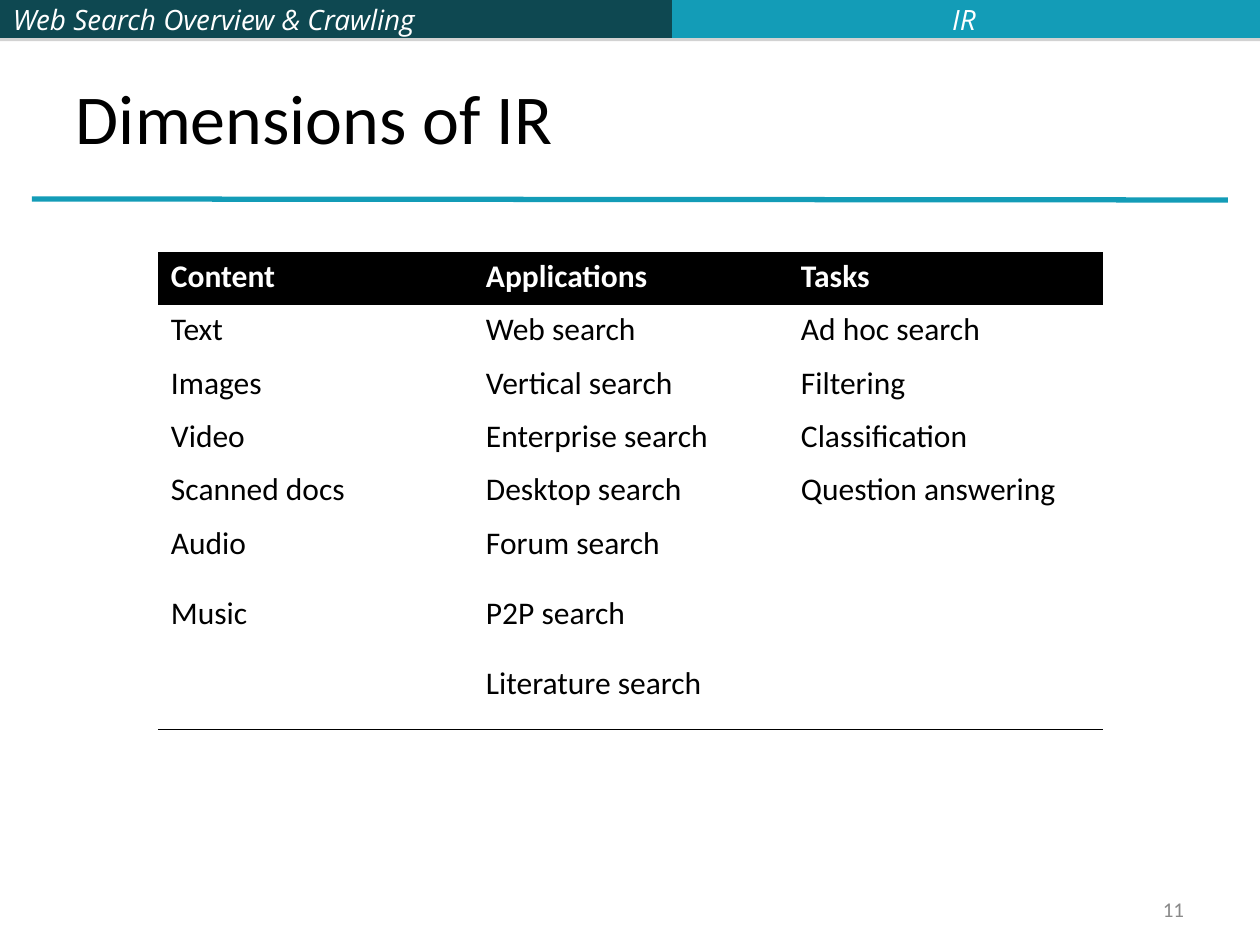
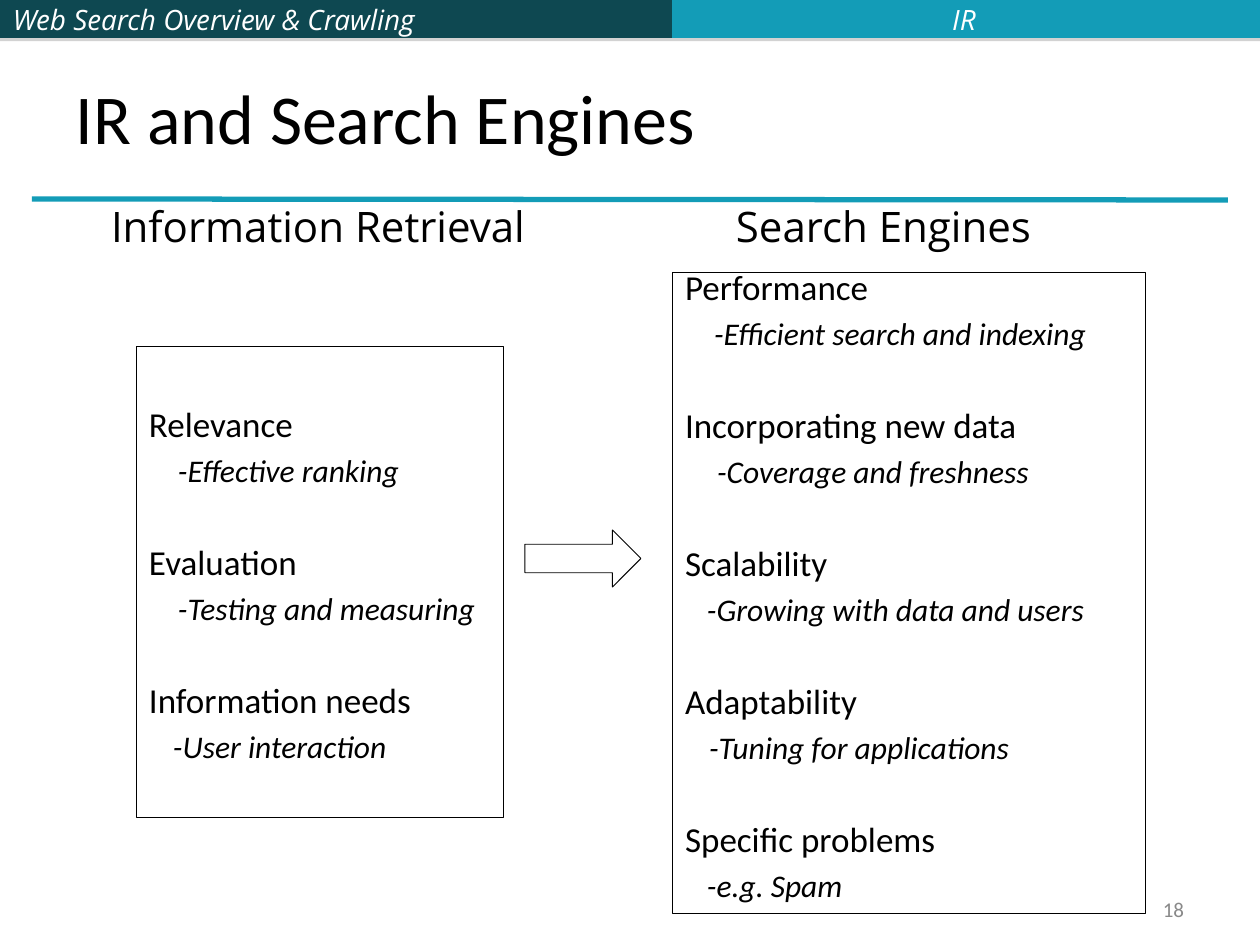
import pptx
import pptx.dml.color
import pptx.enum.shapes
import pptx.enum.text
import pptx.oxml
import pptx.oxml.ns
import pptx.util

RGB = pptx.dml.color.RGBColor
Pt = pptx.util.Pt
qn = pptx.oxml.ns.qn
SHAPE = pptx.enum.shapes.MSO_SHAPE
ALIGN = pptx.enum.text.PP_ALIGN
ANCHOR = pptx.enum.text.MSO_ANCHOR

BLACK = RGB(0x00, 0x00, 0x00)
WHITE = RGB(0xFF, 0xFF, 0xFF)
DARK_TEAL = RGB(0x0E, 0x48, 0x51)
TEAL = RGB(0x13, 0x9C, 0xB7)
GREY = RGB(0x89, 0x89, 0x89)
BODY_FONT, BAND_FONT = "Calibri", "Open Sans"

SLIDE_W, SLIDE_H = 1260, 945
BAND_H, BAND_SPLIT = 38, 672
INSET_X, INSET_Y = 13, 6
LINE_SPACING = 0.65
NO_STYLE_TABLE = "{2D5ABB26-0587-4C30-8999-92F81FD0307C}"
A_NS = 'xmlns:a="http://schemas.openxmlformats.org/drawingml/2006/main"'

BAND_SHADOW = (f'<a:outerShdw {A_NS} blurRad="0" dist="22860" dir="5400000">'
               '<a:srgbClr val="808080"><a:alpha val="35000"/></a:srgbClr></a:outerShdw>')
BOTTOM_RULE = (f'<a:lnB {A_NS} w="5715"><a:solidFill><a:srgbClr val="{BLACK}"/>'
               '</a:solidFill></a:lnB>')

DIMENSIONS = [
    ("Content", "Applications", "Tasks"),
    ("Text", "Web search", "Ad hoc search"),
    ("Images", "Vertical search", "Filtering"),
    ("Video", "Enterprise search", "Classification"),
    ("Scanned docs", "Desktop search", "Question answering"),
    ("Audio", "Forum search", ""),
    ("Music", "P2P search", ""),
    ("", "Literature search", ""),
]
ROW_HEIGHTS = [53, 54, 53, 53, 54, 70, 70, 70]

# Issue, its explanation, indent of the explanation
RETRIEVAL_ISSUES = [
    ("Relevance", "-Effective ranking", 29),
    ("Evaluation", "-Testing and measuring", 29),
    ("Information needs", "-User interaction", 24),
]
ENGINE_ISSUES = [
    ("Performance", "-Efficient search and indexing", 29),
    ("Incorporating new data", "-Coverage and freshness", 32),
    ("Scalability", "-Growing with data and users", 22),
    ("Adaptability", "-Tuning for applications", 24),
    ("Specific problems", "-e.g. Spam", 22),
]


def px(length):
    return pptx.util.Emu(round(length * 914400 / 126))


def scaled(box):
    return [px(length) for length in box]


def add_run(paragraph, text, size, color=BLACK, font=BODY_FONT, bold=False, italic=False):
    run = paragraph.add_run()
    run.text = text
    run.font.size = Pt(size)
    run.font.name = font
    run.font.color.rgb = color
    run.font.bold = bold
    run.font.italic = italic


def set_frame(frame, anchor, wrap=True, top=INSET_Y):
    frame.margin_left = frame.margin_right = px(INSET_X)
    frame.margin_top, frame.margin_bottom = px(top), px(INSET_Y)
    frame.vertical_anchor = anchor
    frame.word_wrap = wrap
    return frame


def add_label(slide, box, text, size, align=ALIGN.LEFT, anchor=ANCHOR.MIDDLE, wrap=True,
              spacing=None, **style):
    frame = set_frame(slide.shapes.add_textbox(*scaled(box)).text_frame, anchor, wrap)
    paragraph = frame.paragraphs[0]
    paragraph.alignment = align
    paragraph.line_spacing = spacing
    add_run(paragraph, text, size, **style)


def add_outline(slide, kind, box):
    outline = slide.shapes.add_shape(kind, *scaled(box))
    outline.shadow.inherit = False
    outline.fill.background()
    outline.line.color.rgb = BLACK
    outline.line.width = Pt(0.5)
    return outline


def add_band(slide, box, color):
    band = slide.shapes.add_shape(SHAPE.RECTANGLE, *scaled(box))
    band.fill.solid()
    band.fill.fore_color.rgb = color
    band.line.fill.background()
    band.shadow.inherit = False
    effects = band._element.spPr.find(qn("a:effectLst"))
    effects.append(pptx.oxml.parse_xml(BAND_SHADOW))
    return band


def add_title_rule(slide, left, top, width):
    rule = slide.shapes.add_connector(pptx.enum.shapes.MSO_CONNECTOR.STRAIGHT,
                                      *scaled((left, top, left + width, top + 1)))
    rule.line.color.rgb = TEAL
    rule.line.width = Pt(3)
    rule._element.spPr.append(pptx.oxml.parse_xml(f"<a:effectLst {A_NS}/>"))


def add_base_slide(deck, title_text, number):
    slide = deck.slides.add_slide(deck.slide_layouts[5])
    add_title_rule(slide, 32, 199, 1196)

    # Course and topic bands
    course = add_band(slide, (0, 0, BAND_SPLIT, BAND_H), DARK_TEAL)
    course_line = set_frame(course.text_frame, ANCHOR.MIDDLE).paragraphs[0]
    course_line.alignment = ALIGN.LEFT
    band_style = dict(color=WHITE, font=BAND_FONT, italic=True)
    add_run(course_line, "Web Search Overview & Crawling", 16, **band_style)
    add_band(slide, (BAND_SPLIT, 0, SLIDE_W - BAND_SPLIT, BAND_H), TEAL)
    add_label(slide, (668, 0, 592, BAND_H), "IR", 16, ALIGN.CENTER, **band_style)

    # Slide number and title
    add_label(slide, (903, 892, 294, 34), number, 12, ALIGN.RIGHT, color=GREY)
    title = slide.shapes.title
    title.left, title.top, title.width, title.height = scaled((63, 38, 1134, 157))
    title_line = set_frame(title.text_frame, ANCHOR.MIDDLE).paragraphs[0]
    title_line.alignment = ALIGN.LEFT
    add_run(title_line, title_text, 40)
    return slide


def add_dimensions_table(slide, left, top, width):
    columns = len(DIMENSIONS[0])
    table = slide.shapes.add_table(len(DIMENSIONS), columns,
                                   *scaled((left, top, width, sum(ROW_HEIGHTS)))).table
    table._tbl.tblPr.find(qn("a:tableStyleId")).text = NO_STYLE_TABLE
    table.horz_banding = False
    for column in table.columns:
        column.width = px(width / columns)
    for row, (entries, height) in enumerate(zip(DIMENSIONS, ROW_HEIGHTS)):
        table.rows[row].height = px(height)
        header = row == 0
        for column, entry in enumerate(entries):
            cell = table.cell(row, column)
            if header:
                cell.fill.solid()
                cell.fill.fore_color.rgb = BLACK
            else:
                cell.fill.background()
            cell.margin_left = cell.margin_right = px(INSET_X)
            cell.margin_top = cell.margin_bottom = px(INSET_Y)
            if entry:
                add_run(cell.text_frame.paragraphs[0], entry, 18,
                        WHITE if header else BLACK, bold=header)
            if row == len(DIMENSIONS) - 1:
                cell._tc.get_or_add_tcPr().insert(0, pptx.oxml.parse_xml(BOTTOM_RULE))


def add_issue_box(slide, box, issues, top_inset):
    panel = add_outline(slide, SHAPE.RECTANGLE, box)
    frame = set_frame(panel.text_frame, ANCHOR.TOP, top=top_inset)
    for index, (issue, explanation, indent) in enumerate(issues):
        heading = frame.add_paragraph() if index else frame.paragraphs[0]
        detail = frame.add_paragraph()
        detail._p.get_or_add_pPr().set("marL", str(px(indent)))
        for paragraph in (heading, detail):
            paragraph.alignment = ALIGN.LEFT
            paragraph.line_spacing = LINE_SPACING
        heading.space_before = Pt(38 if index else 0)
        detail.space_before = Pt(11.2)
        add_run(heading, issue, 20)
        add_run(detail, explanation, 18, italic=True)


def add_column_heading(slide, box, text):
    add_label(slide, box, text, 24, anchor=ANCHOR.TOP, wrap=False,
              spacing=LINE_SPACING, font=BAND_FONT)


def build_dimensions_slide(deck):
    slide = add_base_slide(deck, "Dimensions of IR", "11")
    add_dimensions_table(slide, 158, 252, 945)


def build_engines_slide(deck):
    slide = add_base_slide(deck, "IR and Search Engines", "18")
    add_issue_box(slide, (136, 346, 368, 471), RETRIEVAL_ISSUES, 70)
    add_issue_box(slide, (672, 273, 473, 641), ENGINE_ISSUES, INSET_Y)
    add_outline(slide, SHAPE.RIGHT_ARROW, (525, 530, 116, 57))
    add_column_heading(slide, (98, 210, 446, 45), "Information Retrieval")
    add_column_heading(slide, (723, 210, 325, 45), "Search Engines")


def main():
    deck = pptx.Presentation()
    deck.slide_width, deck.slide_height = px(SLIDE_W), px(SLIDE_H)
    build_dimensions_slide(deck)
    build_engines_slide(deck)
    deck.save("out.pptx")


if __name__ == "__main__":
    main()
